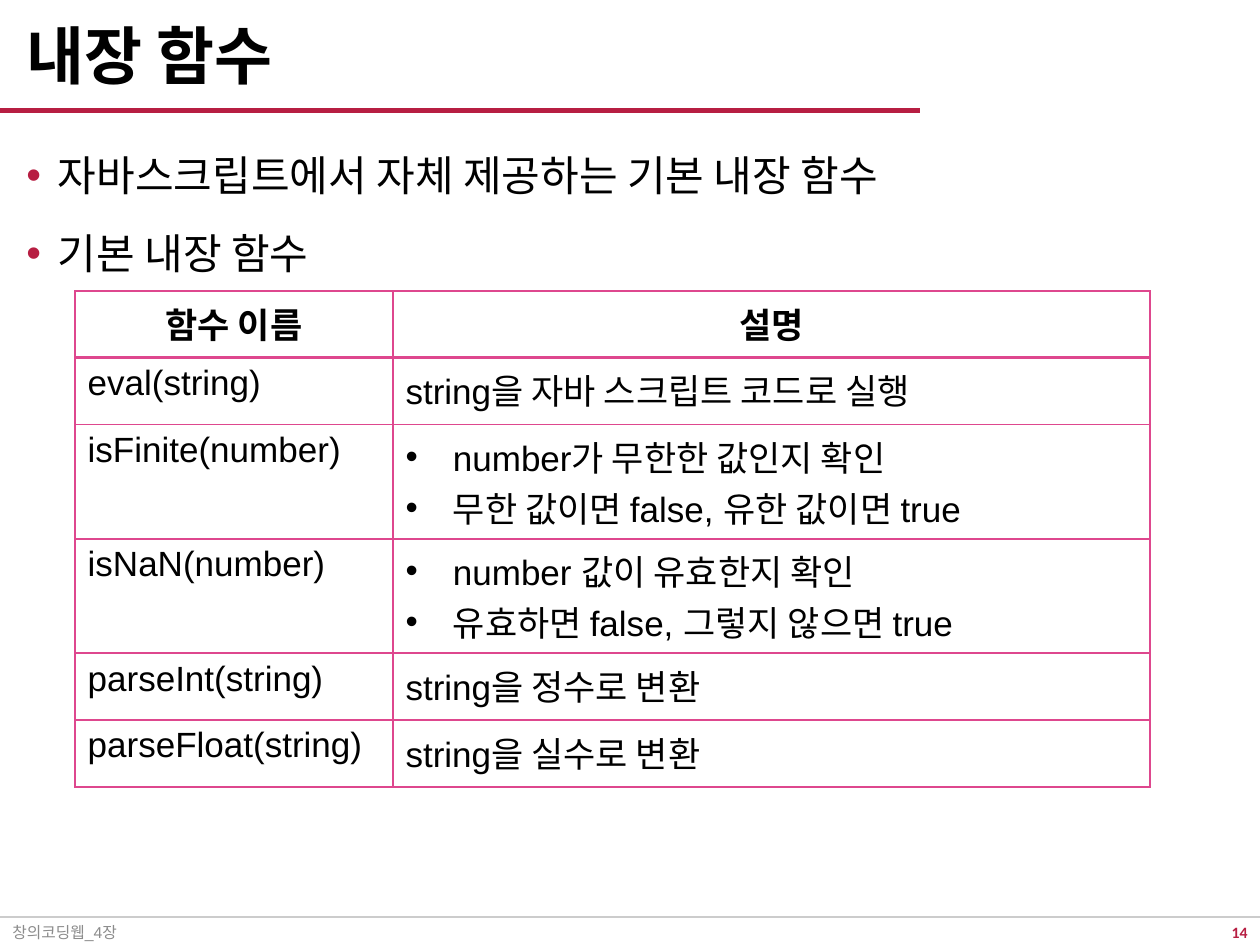
from pptx import Presentation
from pptx import util as u
from pptx.dml import color
from pptx.enum import shapes, text
from pptx.oxml import parse_xml
from pptx.oxml import ns

Pt = u.Pt
HEX = {"ink": "000000", "red": "B71E42", "gray": "8C8C8C", "pink": "DE478E", "rule": "000001"}
MID = text.MSO_ANCHOR.MIDDLE
LEFT, MID_X, RIGHT = text.PP_ALIGN.LEFT, text.PP_ALIGN.CENTER, text.PP_ALIGN.RIGHT

BODY = ["자바스크립트에서 자체 제공하는 기본 내장 함수", "기본 내장 함수"]
HEAD = ("함수 이름", ["설명"])
ROWS = [
    ("eval(string)", ["string을 자바 스크립트 코드로 실행"]),
    ("isFinite(number)", ["number가 무한한 값인지 확인", "무한 값이면 false, 유한 값이면 true"]),
    ("isNaN(number)", ["number 값이 유효한지 확인", "유효하면 false, 그렇지 않으면 true"]),
    ("parseInt(string)", ["string을 정수로 변환"]),
    ("parseFloat(string)", ["string을 실수로 변환"]),
]


def rgb(name):
    return color.RGBColor.from_string(HEX[name])


def node(xml):
    """Parse one drawing element, adding the namespace."""
    return parse_xml(xml.replace(" ", f" {ns.nsdecls('a')} ", 1))


def bullet(para, dent, hue=None):
    """Hang a round bullet by dent points."""
    props = para._p.get_or_add_pPr()
    props.set("marL", str(Pt(dent)))
    props.set("indent", str(-Pt(dent)))
    if hue:
        props.append(node(f'<a:buClr ><a:srgbClr val="{HEX[hue]}"/></a:buClr>'))
    props.append(node('<a:buFont typeface="Arial"/>'))
    props.append(node('<a:buChar char="•"/>'))


def write(frame, lines, font, align=LEFT, dent=0, hue=None, gap=0, lead=None):
    """Fill a text frame, one paragraph a line."""
    for i, line in enumerate(lines):
        para = frame.paragraphs[0] if i == 0 else frame.add_paragraph()
        para.alignment = align
        if lead:
            para.line_spacing = lead
        if i and gap:
            para.space_before = Pt(gap)
        if dent:
            bullet(para, dent, hue)
        run = para.add_run()
        run.text = line
        for key, val in font.items():
            if key == "color":
                run.font.color.rgb = rgb(val)
            else:
                setattr(run.font, key, val)


def face(name, size, hue="ink", bold=False):
    return {"name": name, "size": Pt(size), "color": hue, "bold": bold}


def box(slide, x, y, w, h, lines, font, anchor=MID, **form):
    frame = slide.shapes.add_textbox(Pt(x), Pt(y), Pt(w), Pt(h)).text_frame
    frame.word_wrap = True
    frame.vertical_anchor = anchor
    write(frame, lines, font, **form)


def rule(slide, y, end, hue, width, alpha=None):
    """Draw a level line from the left edge."""
    line = slide.shapes.add_connector(
        shapes.MSO_CONNECTOR.STRAIGHT, Pt(0), Pt(y), Pt(end), Pt(y))
    line.line.color.rgb = rgb(hue)
    line.line.width = Pt(width)
    props = line._element.spPr
    if alpha:
        tint = props.find(".//" + ns.qn("a:srgbClr"))
        tint.append(node(f'<a:alpha val="{alpha * 1000}"/>'))
    props.append(node("<a:effectLst />"))


def frame_cell(cell, row):
    """Border a cell; the edge under the header is heavier."""
    props = cell._tc.get_or_add_tcPr()
    for side in "LRTB":
        width = Pt(2 if (row, side) == (0, "B") else 1)
        props.append(node(
            f'<a:ln{side} w="{width}"><a:solidFill><a:srgbClr val="{HEX["pink"]}"/>'
            f'</a:solidFill><a:prstDash val="solid"/></a:ln{side}>'))
    cell.fill.background()


def grid(slide, x, y, cols, high, extra):
    """Build the table; each further line adds extra points to its row."""
    data = [HEAD] + ROWS
    highs = [high + extra * (len(notes) - 1) for _, notes in data]
    table = slide.shapes.add_table(
        len(data), len(cols), Pt(x), Pt(y), Pt(sum(cols)), Pt(sum(highs))).table
    table.first_row = table.horz_banding = False
    for col, width in zip(table.columns, cols):
        col.width = Pt(width)
    for r, (name, notes) in enumerate(data):
        table.rows[r].height = Pt(highs[r])
        font = face("Arial", 20, bold=r == 0)
        align = LEFT if r else MID_X
        for c, lines in enumerate(([name], notes)):
            cell = table.cell(r, c)
            dent = 27 if len(lines) > 1 else 0
            write(cell.text_frame, lines, font, align, dent)
            frame_cell(cell, r)


def main():
    prs = Presentation()
    prs.slide_width, prs.slide_height = Pt(720), Pt(540)
    slide = prs.slides.add_slide(prs.slide_layouts[6])

    # Rules
    rule(slide, 524, 720, "rule", 1, alpha=20)
    rule(slide, 63.2, 525.5, "red", 2.5)

    # Title and points
    box(slide, 8, 6.5, 517.5, 54.5, ["내장 함수"], face("Calibri", 36, bold=True), lead=0.9)
    box(slide, 8, 76.3, 700.5, 90, BODY, face("Calibri", 24), text.MSO_ANCHOR.TOP,
        dent=18, hue="red", gap=10, lead=1.2)

    # Function table
    grid(slide, 42.9, 166.3, [181.7, 432.7], 38.2, 27.1)

    # Footer
    box(slide, 0, 526.8, 317.5, 12.2, ["창의코딩웹_4장"], face("Arial", 9, "gray"))
    box(slide, 657.5, 526.8, 62.5, 12.2, ["14"], face("Calibri", 9, "red", True), align=RIGHT)

    prs.save("out.pptx")


if __name__ == "__main__":
    main()
